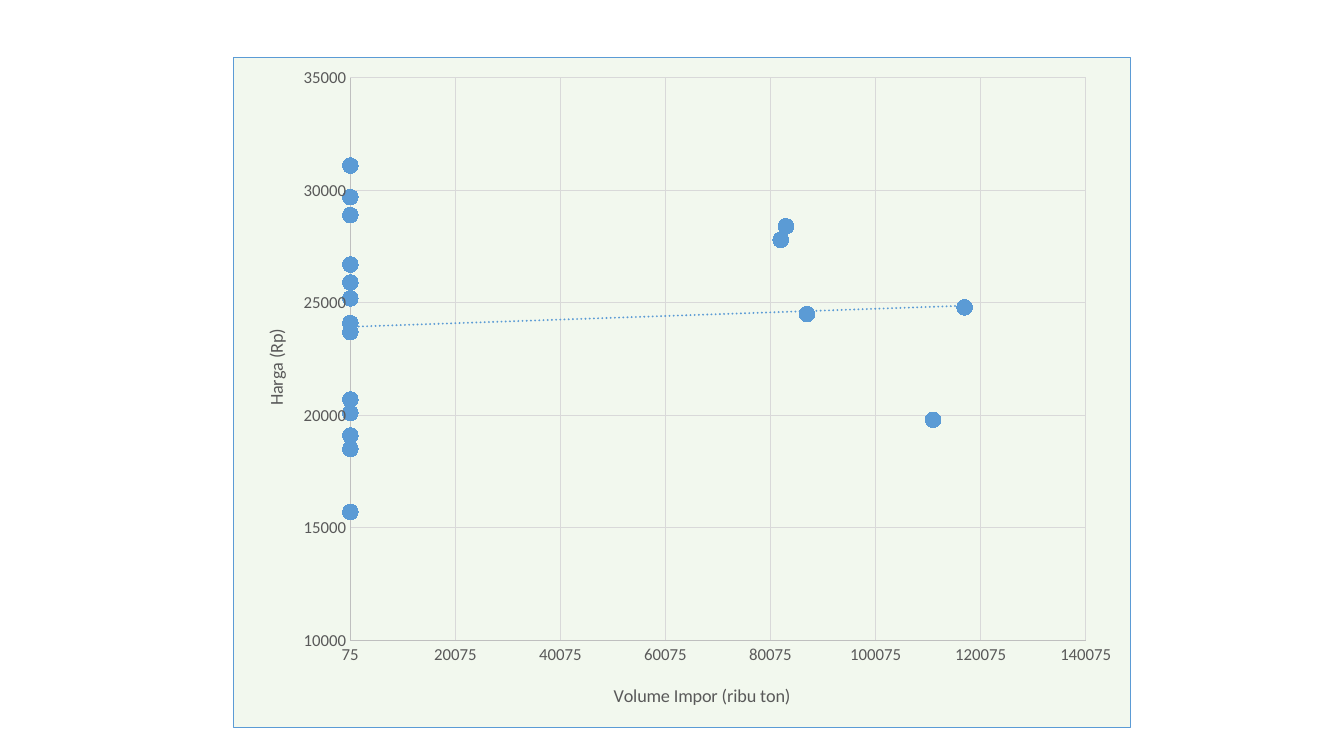
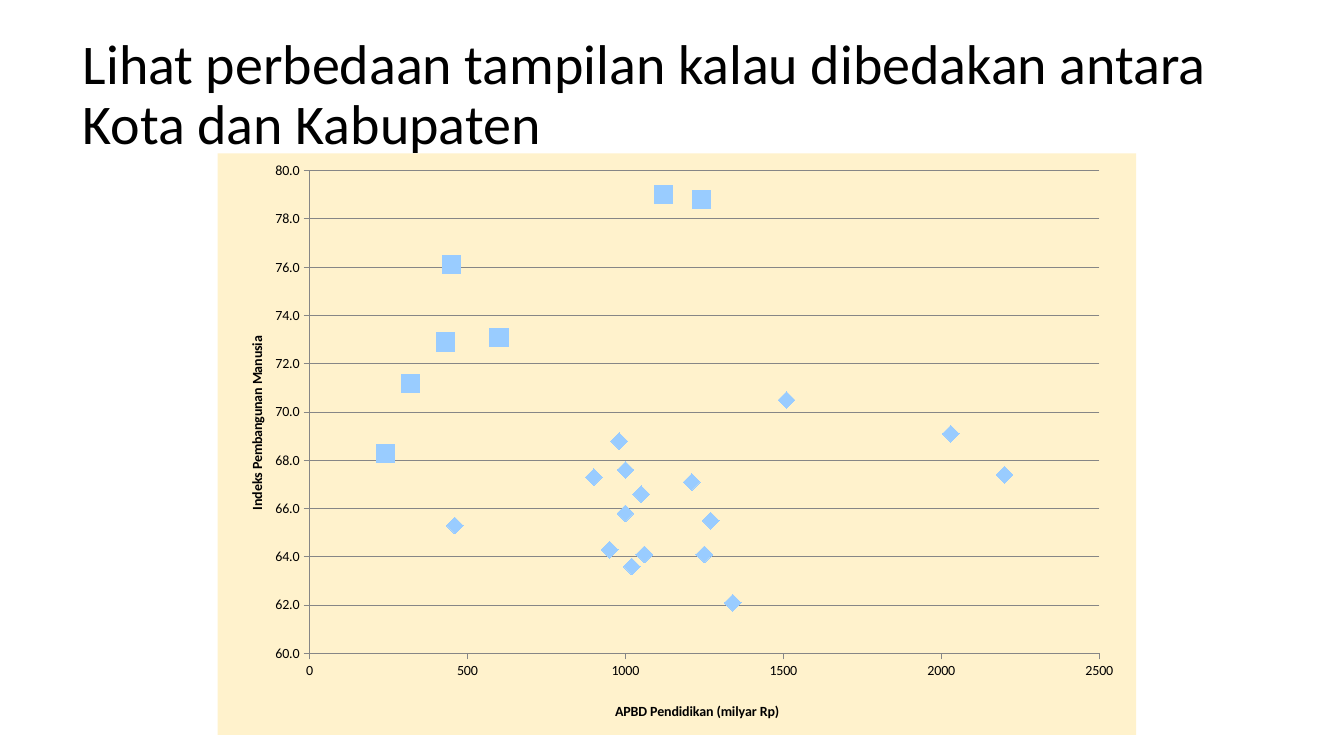
from lxml.etree import SubElement
from pptx import Presentation
from pptx.chart.data import XyChartData
from pptx.dml.color import RGBColor
from pptx.enum.chart import XL_CHART_TYPE, XL_MARKER_STYLE, XL_TICK_MARK
from pptx.enum.text import MSO_ANCHOR
from pptx.oxml import parse_xml
from pptx.oxml.ns import nsdecls, qn
from pptx.util import Pt

FONT = "Calibri"
BLUE = "5B9BD5"
PALE_BLUE = "99CCFF"


def color(value):
    return RGBColor.from_string(value)


def place(element, **fractions):
    """Give a plot area or an axis title a manual layout, in fractions of the chart."""
    layout = element.find(qn("c:layout"))
    if layout is None:
        layout = parse_xml(f"<c:layout {nsdecls('c')}/>")
        element.insert(int(element.find(qn("c:tx")) is not None), layout)
    manual = SubElement(layout, qn("c:manualLayout"))
    if "w" in fractions:
        SubElement(manual, qn("c:layoutTarget")).set("val", "inner")
    for side in "xy":
        SubElement(manual, qn(f"c:{side}Mode")).set("val", "edge")
    for key, fraction in fractions.items():
        SubElement(manual, qn(f"c:{key}")).set("val", str(fraction))


# Axis: title, title position, minimum, maximum, step, number format
# Series: marker, marker size, colour, x values, y values
CHARTS = [
    {
        "title": None,
        "box": (166.5, 41, 641.5, 479),
        "plot": {"x": 0.13, "y": 0.03, "w": 0.82, "h": 0.84},
        "fill": "F2F8EE",
        "border": f'<a:solidFill><a:srgbClr val="{BLUE}"/></a:solidFill>',
        "axes": [
            ("Volume Impor (ribu ton)", (0.42, 0.93), 75, 140075, 20000, "0"),
            ("Harga (Rp)", (0.03, 0.4), 10000, 35000, 5000, "0"),
        ],
        "axis_line": "BFBFBF",
        "grid": "D9D9D9",
        "vertical_grid": True,
        "ticks": XL_TICK_MARK.NONE,
        "text": (12, 13, "595959", False),
        "trend": True,
        "series": [
            (XL_MARKER_STYLE.CIRCLE, 11, BLUE,
             [100] * 13 + [83000, 87000, 82000, 111000, 117000],
             [26700, 25900, 31100, 29700, 20100, 19100, 23700, 24100, 28900,
              15700, 20700, 18500, 25200, 28400, 24500, 27800, 19800, 24800]),
        ],
    },
    {
        "title": "Lihat perbedaan tampilan kalau dibedakan antara Kota dan Kabupaten",
        "box": (155.5, 109.5, 656, 415.5),
        "plot": {"x": 0.1, "y": 0.03, "w": 0.86, "h": 0.83},
        "fill": "FFF2CC",
        "border": "<a:noFill/>",
        "axes": [
            ("APBD Pendidikan (milyar Rp)", (0.43, 0.94), 0, 2500, 500, "0"),
            ("Indeks Pembangunan Manusia", (0.03, 0.31), 60, 80, 2, "0.0"),
        ],
        "axis_line": "868686",
        "grid": "868686",
        "vertical_grid": False,
        "ticks": XL_TICK_MARK.OUTSIDE,
        "text": (10, 10, "000000", True),
        "trend": False,
        "series": [
            (XL_MARKER_STYLE.DIAMOND, 12, PALE_BLUE,
             [2030, 950, 1510, 2200, 1000, 1340, 1270, 1020,
              1210, 1050, 1060, 460, 900, 1000, 1250, 980],
             [69.1, 64.3, 70.5, 67.4, 67.6, 62.1, 65.5, 63.6,
              67.1, 66.6, 64.1, 65.3, 67.3, 65.8, 64.1, 68.8]),
            (XL_MARKER_STYLE.SQUARE, 13, PALE_BLUE,
             [1120, 240, 1240, 600, 450, 430, 320],
             [79, 68.3, 78.8, 73.1, 76.1, 72.9, 71.2]),
        ],
    },
]

deck = Presentation()
deck.slide_width, deck.slide_height = Pt(960), Pt(540)

for page in CHARTS:
    slide = deck.slides.add_slide(deck.slide_layouts[6])

    if page["title"]:
        box = slide.shapes.add_textbox(Pt(52), Pt(16.5), Pt(828), Pt(104.5))
        frame = box.text_frame
        frame.word_wrap = True
        frame.vertical_anchor = MSO_ANCHOR.MIDDLE
        frame.text = page["title"]
        para = frame.paragraphs[0]
        para.line_spacing = 0.9
        para.font.name = FONT
        para.font.size = Pt(40)
        para.font.color.rgb = color("000000")

    data = XyChartData()
    for number, (_, _, _, x_values, y_values) in enumerate(page["series"], 1):
        points = data.add_series(f"Series {number}")
        for x, y in zip(x_values, y_values):
            points.add_data_point(x, y)
    chart = slide.shapes.add_chart(
        XL_CHART_TYPE.XY_SCATTER, *map(Pt, page["box"]), data).chart
    chart.has_legend = False
    chart.has_title = False

    label_size, title_size, text_color, bold = page["text"]
    chart.font.name = FONT
    chart.font.size = Pt(label_size)
    chart.font.color.rgb = color(text_color)

    chart_element = chart.element.find(qn("c:chart"))
    chart_element.addnext(parse_xml(
        f'<c:spPr {nsdecls("c", "a")}>'
        f'<a:solidFill><a:srgbClr val="{page["fill"]}"/></a:solidFill>'
        f'<a:ln w="9525">{page["border"]}</a:ln></c:spPr>'))
    place(chart_element.find(qn("c:plotArea")), **page["plot"])

    chart.category_axis.has_major_gridlines = page["vertical_grid"]
    chart.value_axis.has_major_gridlines = True
    axes = zip((chart.category_axis, chart.value_axis), page["axes"], (0, -5400000))
    for axis, (title, position, low, high, step, number_format), rotation in axes:
        axis.minimum_scale, axis.maximum_scale, axis.major_unit = low, high, step
        axis.major_tick_mark = page["ticks"]
        axis.minor_tick_mark = XL_TICK_MARK.NONE
        axis.tick_labels.number_format = number_format
        axis.tick_labels.number_format_is_linked = False
        axis.format.line.color.rgb = color(page["axis_line"])
        axis.format.line.width = Pt(0.75)
        if axis.has_major_gridlines:
            grid_line = axis.major_gridlines.format.line
            grid_line.color.rgb = color(page["grid"])
            grid_line.width = Pt(0.75)

        frame = axis.axis_title.text_frame
        frame.text = title
        font = frame.paragraphs[0].runs[0].font
        font.name, font.size, font.bold = FONT, Pt(title_size), bold
        font.color.rgb = color(text_color)
        title_element = axis.axis_title.element if hasattr(
            axis.axis_title, "element") else axis.axis_title._element
        body = title_element.find(f".//{qn('a:bodyPr')}")
        body.set("rot", str(rotation))
        body.set("vert", "horz")
        place(title_element, x=position[0], y=position[1])

    for series, (style, size, marker_color, _, _) in zip(
            chart.plots[0].series, page["series"]):
        series.format.line.fill.background()
        series.marker.style = style
        series.marker.size = size
        series.marker.format.fill.solid()
        series.marker.format.fill.fore_color.rgb = color(marker_color)
        series.marker.format.line.color.rgb = color(marker_color)
        if page["trend"]:
            series._element.find(qn("c:xVal")).addprevious(parse_xml(
                f'<c:trendline {nsdecls("c", "a")}><c:spPr><a:ln w="19050" cap="rnd">'
                f'<a:solidFill><a:srgbClr val="{marker_color}"/></a:solidFill>'
                '<a:prstDash val="sysDot"/></a:ln></c:spPr>'
                '<c:trendlineType val="linear"/><c:dispRSqr val="0"/>'
                '<c:dispEq val="0"/></c:trendline>'))

deck.save("out.pptx")
